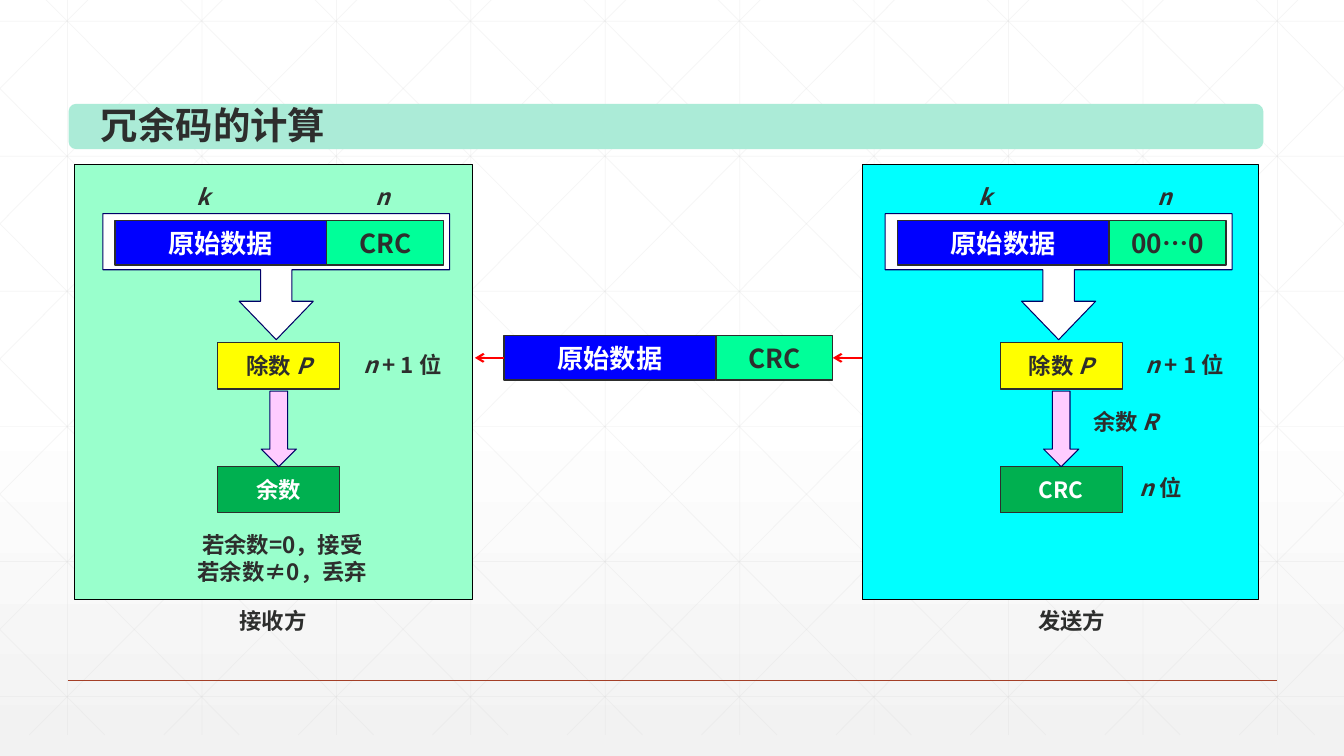
import lxml.etree
import pptx
import pptx.dml.color
import pptx.enum.shapes
import pptx.enum.text
import pptx.oxml.ns
import pptx.util

Inches, Pt = pptx.util.Inches, pptx.util.Pt
RGB = pptx.dml.color.RGBColor.from_string
MSO = pptx.enum.shapes.MSO_SHAPE
ALIGN = pptx.enum.text.PP_ALIGN
qn = pptx.oxml.ns.qn

THEME = dict(
    font="Noto Sans CJK SC", title=26.7, data=18.7, body=16,
    ink="2D2E2D", white="FFFFFF", black="000000", navy="000066", grid="D9D9D9",
    rule="A43F27", arrow="FF0000", bar="ABEBD7", receiver="99FFCC", sender="00FFFF",
    blue="0000FF", mint="00FF99", yellow="FFFF00", green="00B050", pink="FFCCFF",
    fade="F2F2F2")


def box(kind, at, fill=None, line=None, width=0.75, text=(), size="body",
        color="ink", align=ALIGN.CENTER, shape=None):
    """Draw a shape, a text box (kind None) or fill a given shape; text is
    a list of paragraphs, each a list of (words, italic)."""
    at = [Inches(v) for v in at]
    if shape is not None:
        sp = shape
        sp.left, sp.top, sp.width, sp.height = at
    elif kind is None:
        sp = s.shapes.add_textbox(*at)
    else:
        sp = s.shapes.add_shape(kind, *at)
        sp.shadow.inherit = False
        sp.fill.solid()
        sp.fill.fore_color.rgb = RGB(THEME[fill])
        if line:
            sp.line.color.rgb = RGB(THEME[line])
            sp.line.width = Pt(width)
        else:
            sp.line.fill.background()
    tf = sp.text_frame
    tf.word_wrap = True
    tf.vertical_anchor = pptx.enum.text.MSO_ANCHOR.MIDDLE if kind else pptx.enum.text.MSO_ANCHOR.TOP
    for i, runs in enumerate(text):
        p = tf.add_paragraph() if i else tf.paragraphs[0]
        p.alignment = align
        for words, italic in runs:
            r = p.add_run()
            r.text = words
            fmt = dict(name=THEME["font"], size=Pt(THEME[size]), bold=True, italic=italic)
            for key, value in fmt.items():
                setattr(r.font, key, value)
            r.font.color.rgb = RGB(THEME[color])
            ea = lxml.etree.SubElement(r.font._element, qn("a:ea"))
            ea.set("typeface", THEME["font"])
    return sp


def line(x1, y1, x2, y2, color, width, alpha=None, head=False):
    c = s.shapes.add_connector(pptx.enum.shapes.MSO_CONNECTOR.STRAIGHT,
                               Inches(x1), Inches(y1), Inches(x2), Inches(y2))
    c.line.color.rgb = RGB(THEME[color])
    c.line.width = Pt(width)
    ln = c.line._get_or_add_ln()
    if alpha:
        tint = ln.find(".//" + qn("a:srgbClr"))
        lxml.etree.SubElement(tint, qn("a:alpha")).set("val", str(alpha * 1000))
    if head:
        lxml.etree.SubElement(ln, qn("a:tailEnd")).set("type", "arrow")
    lxml.etree.SubElement(c._element.spPr, qn("a:effectLst"))
    return c


prs = pptx.Presentation()
W = 13.33
prs.slide_width, prs.slide_height = Inches(W), Inches(7.5)
s = prs.slides.add_slide(prs.slide_layouts[5])

# Background fade
bg = s.background.fill
bg.gradient()
bg.gradient_angle = 270
for stop, position, color in zip(bg.gradient_stops, (0.53, 1), ("white", "fade")):
    stop.position = position
    stop.color.rgb = RGB(THEME[color])

# Background grid: verticals, horizontals, then mirrored diagonals cut at the slide edges
TOP, BOTTOM, STEP = -0.21, 7.29, 4 / 3
grid = [(x, TOP, x, BOTTOM) for x in (0.67 + STEP * i for i in range(10))]
grid += [(0, y, W, y) for y in (0.21 + 1.34 * i for i in range(6))]
SLOPE = 7.5 / 7.455
for i in range(-5, 10):
    x0 = 0.25 + STEP * i
    xa, xb = max(x0, 0), min(x0 + 7.455, W)
    ya, yb = (TOP + (x - x0) * SLOPE for x in (xa, xb))
    grid += [(xa, ya, xb, yb), (W - xa, ya, W - xb, yb)]
for ends in grid:
    line(*ends, "grid", 0.5, alpha=25)
line(0.67, 6.75, 12.67, 6.75, "rule", 1)

# Panels
box(MSO.RECTANGLE, (8.55, 1.63, 3.93, 4.32), "sender", "black")
box(MSO.RECTANGLE, (0.74, 1.63, 3.95, 4.32), "receiver", "black")

# Title on its bar
bar = box(MSO.ROUNDED_RECTANGLE, (0.68, 1.03, 11.85, 0.45), "bar")
bar.adjustments[0] = 0.167
title = box(None, (0.9, 0.96, 2.44, 0.55), text=[[("冗余码的计算", False)]],
            size="title", align=ALIGN.LEFT, shape=s.shapes.title)
title.text_frame.word_wrap = False
s.shapes._spTree.append(title._element)

# Steps of each side: offset, check field, result
frames = [(0.0, 1.14, 2.19, "CRC"), (7.76, 8.9, 2.19, "00…0"), (None, 5, 3.33, "CRC")]
for dx, x, y, check in frames:
    if dx is not None:
        for left, letter in ((1.7, "k"), (3.48, "n")):
            box(None, (left + dx, 1.77, 0.63, 0.37), text=[[(letter, True)]])
        callout = box(MSO.DOWN_ARROW_CALLOUT, (1.02 + dx, 2.12, 3.44, 1.25), "white", "navy")
        for i, value in enumerate((0.249, 0.294, 0.305, 0.445)):
            callout.adjustments[i] = value
        box(MSO.RECTANGLE, (2.16 + dx, 3.4, 1.21, 0.46), "yellow", "ink",
            text=[[("除数 ", False), ("P", True)]])
        box(None, (3.45 + dx, 3.43, 1.08, 0.37), text=[[("n", True), (" + 1 位", False)]])
        box(MSO.RECTANGLE, (2.16 + dx, 4.63, 1.21, 0.46), "green", "ink",
            text=[[("CRC" if dx else "余数", False)]], color="white")
        box(MSO.DOWN_ARROW, (2.59 + dx, 3.88, 0.35, 0.75), "pink", "navy")
    data = box(MSO.RECTANGLE, (x, y, 2.1, 0.44), "blue", "ink", 1,
               [[("原始数据", False)]], "data", "white")
    code = box(MSO.RECTANGLE, (x + 2.1, y, 1.16, 0.44), "mint", "ink", 1,
               [[(check, False)]], "data")

# Arrows into and out of the frame sent
line(8.55, 3.55, 8.26, 3.55, "arrow", 1.5, head=True).end_connect(code, 3)
line(5, 3.55, 4.71, 3.55, "arrow", 1.5, head=True).begin_connect(data, 1)

# Notes and captions
box(None, (10.73, 4, 0.87, 0.37), text=[[("余数 ", False), ("R", True)]])
box(None, (11.19, 4.65, 0.64, 0.37), text=[[("n ", True), ("位", False)]])
box(None, (1.2, 5.22, 3.2, 0.64), text=[[("若余数=0，接受", False)], [("若余数≠0，丢弃", False)]])
for left, caption in ((10.18, "发送方"), (2.26, "接收方")):
    box(None, (left, 5.97, 0.88, 0.37), text=[[(caption, False)]], align=ALIGN.RIGHT)

prs.save("out.pptx")
